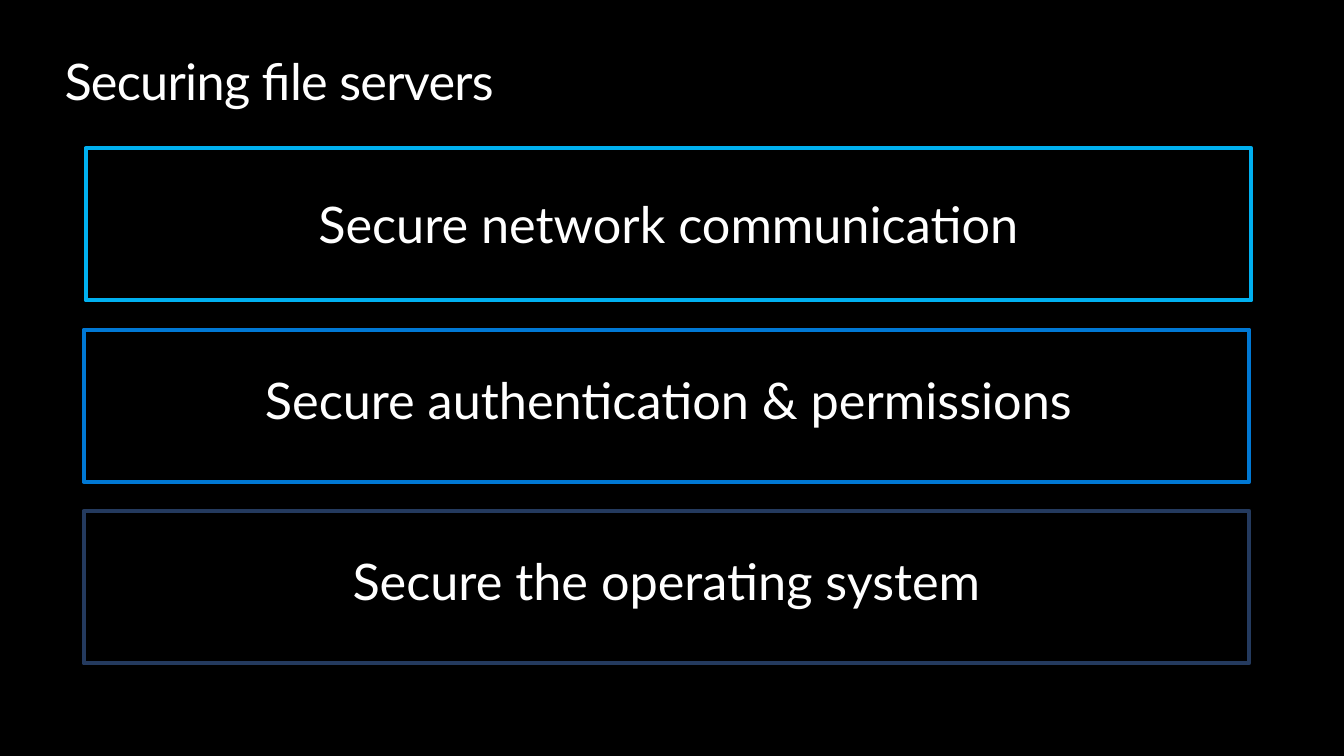
from dataclasses import dataclass

from pptx import Presentation
from pptx.dml.color import RGBColor
from pptx.enum.shapes import MSO_SHAPE
from pptx.enum.text import MSO_ANCHOR, MSO_AUTO_SIZE, PP_ALIGN
from pptx.util import Inches, Pt

RECTANGLE = MSO_SHAPE.RECTANGLE
TOP = MSO_ANCHOR.TOP
NO_RESIZE = MSO_AUTO_SIZE.NONE
LEFT, CENTER = PP_ALIGN.LEFT, PP_ALIGN.CENTER
TITLE_ONLY = 5

WIDTH, HEIGHT = Inches(13.33), Inches(7.5)
COLUMN, ROW = WIDTH / 100, HEIGHT / 100


@dataclass(frozen=True)
class Theme:
    background: RGBColor = RGBColor.from_string("000000")
    text: RGBColor = RGBColor.from_string("FFFFFF")
    sky: RGBColor = RGBColor.from_string("00B0F0")
    blue: RGBColor = RGBColor.from_string("0078D4")
    navy: RGBColor = RGBColor.from_string("243A5E")
    font: str = "Lato"
    size: Pt = Pt(36)
    outline: Pt = Pt(3)


@dataclass(frozen=True)
class Box:
    left: float
    top: float
    width: float
    height: float

    def emu(self):
        return (round(self.left * COLUMN), round(self.top * ROW),
                round(self.width * COLUMN), round(self.height * ROW))


THEME = Theme()
LINE_HEIGHT = 8.13
TITLE_BOX = Box(4.8, 6.67, 90.4, LINE_HEIGHT)
PANEL_AREA = Box(6.23, 19.6, 86.72, 68.13)
PANEL_HEIGHT = 20.13
NUDGE = 0.15
PANELS = [
    ("Secure network communication", THEME.sky, NUDGE, NUDGE, 6),
    ("Secure authentication & permissions", THEME.blue, 0, NUDGE, 5.2),
    ("Secure the operating system", THEME.navy, 0, 0, 5.2),
]


def write_text(shape, text, *, align=CENTER, spacing=0):
    frame = shape.text_frame
    frame.auto_size = NO_RESIZE
    frame.word_wrap = True
    frame.vertical_anchor = TOP
    frame.margin_left = frame.margin_right = 0
    frame.margin_top = frame.margin_bottom = 0
    paragraph = frame.paragraphs[0]
    paragraph.alignment = align
    paragraph.line_spacing = 1.0
    paragraph.space_before = Pt(0)
    run = paragraph.add_run()
    run.text = text
    run.font.name = THEME.font
    run.font.size = THEME.size
    run.font.color.rgb = THEME.text
    if spacing:
        run.font._element.set("spc", str(round(spacing * 100)))


def add_title(slide, box, text):
    title = slide.shapes.title
    title.left, title.top, title.width, title.height = box.emu()
    write_text(title, text, align=LEFT, spacing=-0.5)


def add_panel(slide, box, text, color, label_shift, label_drop):
    frame = slide.shapes.add_shape(RECTANGLE, *box.emu())
    frame.shadow.inherit = False
    frame.fill.background()
    frame.line.color.rgb = color
    frame.line.width = THEME.outline
    label_box = Box(box.left + label_shift, box.top + label_drop,
                    box.width, LINE_HEIGHT)
    write_text(slide.shapes.add_textbox(*label_box.emu()), text)


def add_panels(slide, area, panels):
    pitch = (area.height - PANEL_HEIGHT) / (len(panels) - 1)
    for index, (text, color, shift, label_left, label_drop) in enumerate(panels):
        box = Box(area.left + shift, area.top + index * pitch,
                  area.width, PANEL_HEIGHT)
        add_panel(slide, box, text, color, label_left - shift, label_drop)


def main():
    presentation = Presentation()
    presentation.slide_width, presentation.slide_height = WIDTH, HEIGHT
    slide = presentation.slides.add_slide(presentation.slide_layouts[TITLE_ONLY])
    slide.background.fill.solid()
    slide.background.fill.fore_color.rgb = THEME.background
    add_title(slide, TITLE_BOX, "Securing file servers")
    add_panels(slide, PANEL_AREA, PANELS)
    presentation.save("out.pptx")


if __name__ == "__main__":
    main()
